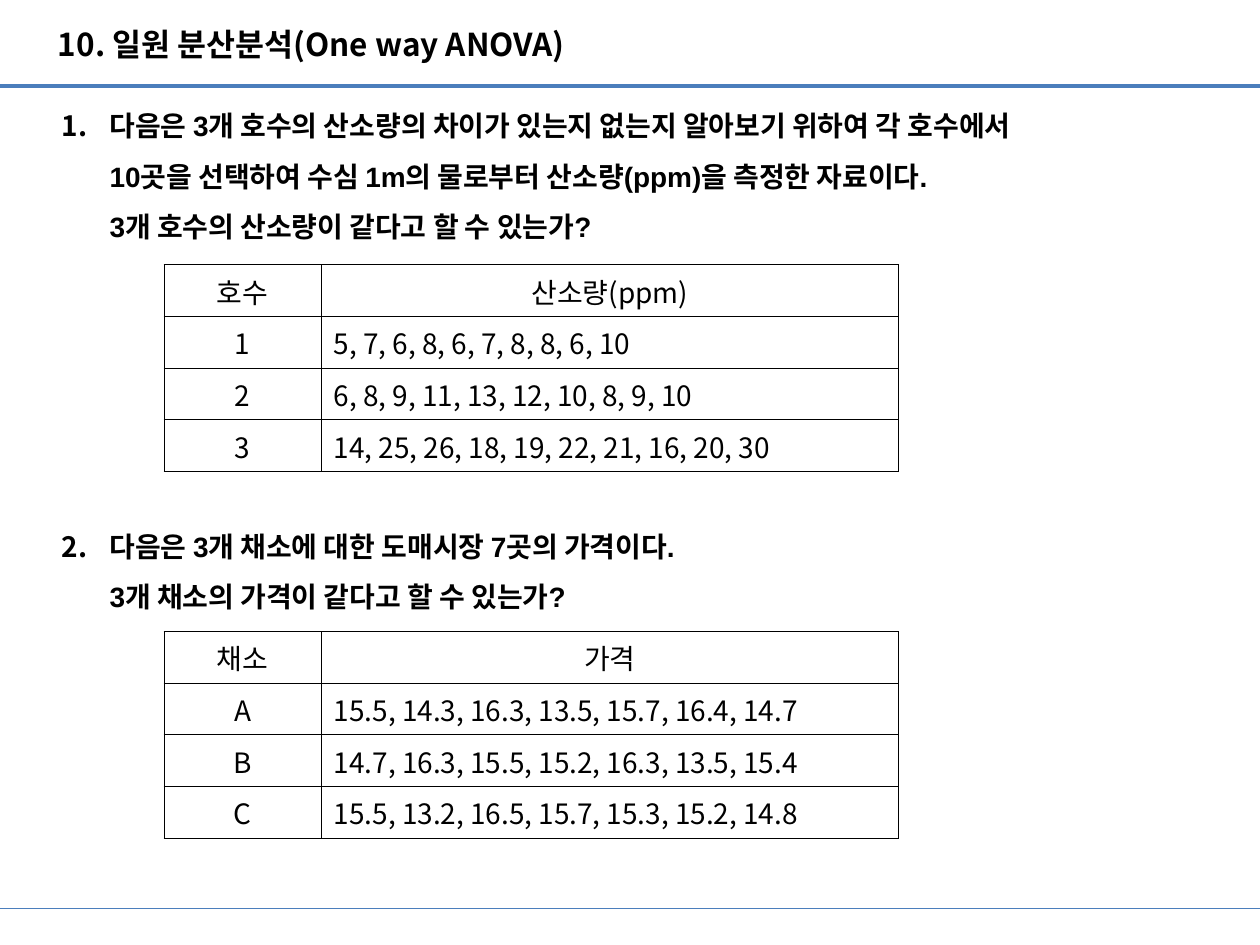
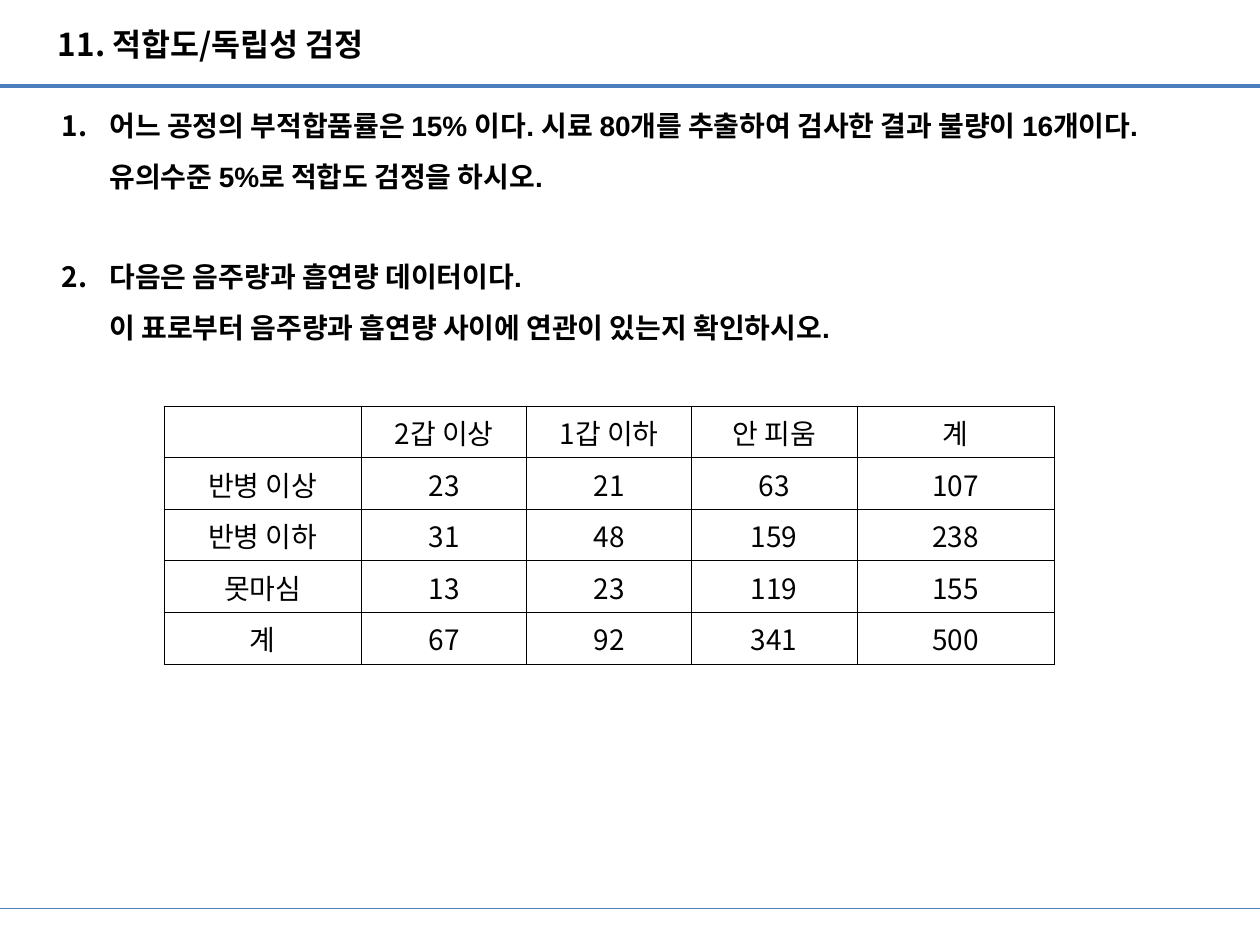
import pptx
import pptx.util
import pptx.dml.color
import pptx.enum.shapes
import pptx.enum.text
import pptx.oxml.ns
from lxml import etree

Inches = pptx.util.Inches
Pt = pptx.util.Pt
qn = pptx.oxml.ns.qn
ALIGN = pptx.enum.text.PP_ALIGN
KOREAN = "Noto Sans CJK KR"
LATIN = "Arial"
BLACK = "000000"
BLUE = "4B7EBC"
LEFT = 1.3
ROW = 0.41


def color(code):
    """Turn a hex string into a colour."""
    return pptx.dml.color.RGBColor.from_string(code)


def write(para, text, size, face, bold=False):
    """Add one run to a paragraph."""
    run = para.add_run()
    run.text = text
    font = run.font
    font.size, font.bold, font.name = Pt(size), bold, face
    font.color.rgb = color(BLACK)
    etree.SubElement(font._element, qn("a:ea")).set("typeface", KOREAN)


def place(shape, box):
    """Move a placeholder to a box and return its text frame."""
    shape.left, shape.top, shape.width, shape.height = map(Inches, box)
    frame = shape.text_frame
    frame.word_wrap = False
    frame.auto_size = pptx.enum.text.MSO_AUTO_SIZE.SHAPE_TO_FIT_TEXT
    frame.vertical_anchor = pptx.enum.text.MSO_ANCHOR.TOP
    return frame


def rule(slide, master, y, width):
    """Draw a line across the page and keep it on the master."""
    line = slide.shapes.add_connector(
        pptx.enum.shapes.MSO_CONNECTOR.STRAIGHT, 0, Inches(y), Inches(10), Inches(y))
    line.line.color.rgb = color(BLUE)
    line.line.width = Pt(width)
    etree.SubElement(line.element.spPr, qn("a:effectLst"))
    master.shapes.element.append(line.element)


def head(slide, text, width):
    """Fill the slide title."""
    para = place(slide.shapes.title, (0.36, 0.15, width, 0.4)).paragraphs[0]
    para.alignment = ALIGN.LEFT
    write(para, text, 18, KOREAN, True)


def ask(shape, box, items, start=1):
    """Fill a body placeholder with numbered questions, each a list of lines."""
    frame = place(shape, box)
    for index, lines in enumerate(items):
        para = frame.add_paragraph() if index else frame.paragraphs[0]
        para.line_spacing = 1.5
        para.space_before = Pt(28.8 if index else 0)
        props = para._p.get_or_add_pPr()
        props.set("marL", str(Inches(0.38)))
        props.set("indent", str(-Inches(0.38)))
        etree.SubElement(props, qn("a:buFont")).set("typeface", KOREAN)
        mark = etree.SubElement(props, qn("a:buAutoNum"))
        mark.set("type", "arabicPeriod")
        if start > 1:
            mark.set("startAt", str(start))
        for order, text in enumerate(lines):
            if order:
                para.add_line_break()
            write(para, text, 16, LATIN, True)


def frame_cell(cell):
    """Give a cell thin black borders and no fill."""
    props = cell._tc.get_or_add_tcPr()
    for side in ("lnL", "lnR", "lnT", "lnB"):
        edge = etree.SubElement(props, qn("a:" + side))
        edge.set("w", str(Pt(0.25)))
        fill = etree.SubElement(edge, qn("a:solidFill"))
        etree.SubElement(fill, qn("a:srgbClr")).set("val", BLACK)
    cell.fill.background()


def grid(slide, top, widths, rows, listed=False):
    """Add a table; when listed, the values below the header start at the left."""
    table = slide.shapes.add_table(
        len(rows), len(widths), Inches(LEFT), Inches(top),
        Inches(sum(widths)), Inches(ROW * len(rows))).table
    table.first_row = table.horz_banding = False
    for col, width in zip(table.columns, widths):
        col.width = Inches(width)
    for r, texts in enumerate(rows):
        table.rows[r].height = Inches(ROW)
        for c, text in enumerate(texts):
            cell = table.cell(r, c)
            frame_cell(cell)
            para = cell.text_frame.paragraphs[0]
            para.alignment = ALIGN.LEFT if listed and r and c else ALIGN.CENTER
            if text:
                write(para, text, 16, KOREAN)
            else:
                etree.SubElement(para._p, qn("a:endParaRPr")).set("sz", "1600")


def anova(deck):
    """Build the slide on one way analysis of variance."""
    slide = deck.slides.add_slide(deck.slide_layouts[3])
    lakes, greens = list(slide.placeholders)[1:3]
    widths = (1.25, 4.58)
    head(slide, "10. 일원 분산분석(One way ANOVA)", 4.48)
    ask(lakes, (0.39, 0.68, 8.68, 1.26), [[
        "다음은 3개 호수의 산소량의 차이가 있는지 없는지 알아보기 위하여 각 호수에서",
        "10곳을 선택하여 수심 1m의 물로부터 산소량(ppm)을 측정한 자료이다.",
        "3개 호수의 산소량이 같다고 할 수 있는가?"]])
    grid(slide, 2.1, widths, [
        ("호수", "산소량(ppm)"),
        ("1", "5, 7, 6, 8, 6, 7, 8, 8, 6, 10"),
        ("2", "6, 8, 9, 11, 13, 12, 10, 8, 9, 10"),
        ("3", "14, 25, 26, 18, 19, 22, 21, 16, 20, 30")], True)
    ask(greens, (0.39, 4.02, 5.64, 0.91), [[
        "다음은 3개 채소에 대한 도매시장 7곳의 가격이다.",
        "3개 채소의 가격이 같다고 할 수 있는가?"]], 2)
    grid(slide, 5.01, widths, [
        ("채소", "가격"),
        ("A", "15.5, 14.3, 16.3, 13.5, 15.7, 16.4, 14.7"),
        ("B", "14.7, 16.3, 15.5, 15.2, 16.3, 13.5, 15.4"),
        ("C", "15.5, 13.2, 16.5, 15.7, 15.3, 15.2, 14.8")], True)
    return slide


def fit(deck):
    """Build the slide on tests of fit and independence."""
    slide = deck.slides.add_slide(deck.slide_layouts[1])
    head(slide, "11. 적합도/독립성 검정", 2.87)
    ask(slide.placeholders[1], (0.39, 0.68, 9.72, 2.12), [
        ["어느 공정의 부적합품률은 15% 이다. 시료 80개를 추출하여 검사한 결과 불량이 16개이다.",
         "유의수준 5%로 적합도 검정을 하시오."],
        ["다음은 음주량과 흡연량 데이터이다.",
         "이 표로부터 음주량과 흡연량 사이에 연관이 있는지 확인하시오."]])
    grid(slide, 3.22, (1.57, 1.31, 1.31, 1.31, 1.57), [
        ("", "2갑 이상", "1갑 이하", "안 피움", "계"),
        ("반병 이상", "23", "21", "63", "107"),
        ("반병 이하", "31", "48", "159", "238"),
        ("못마심", "13", "23", "119", "155"),
        ("계", "67", "92", "341", "500")])


def main():
    """Build and save the deck."""
    deck = pptx.Presentation()
    deck.slide_width, deck.slide_height = Inches(10), Inches(7.5)
    first = anova(deck)
    rule(first, deck.slide_master, 0.68, 2.25)
    rule(first, deck.slide_master, 7.21, 0.75)
    fit(deck)
    deck.save("out.pptx")


main()
